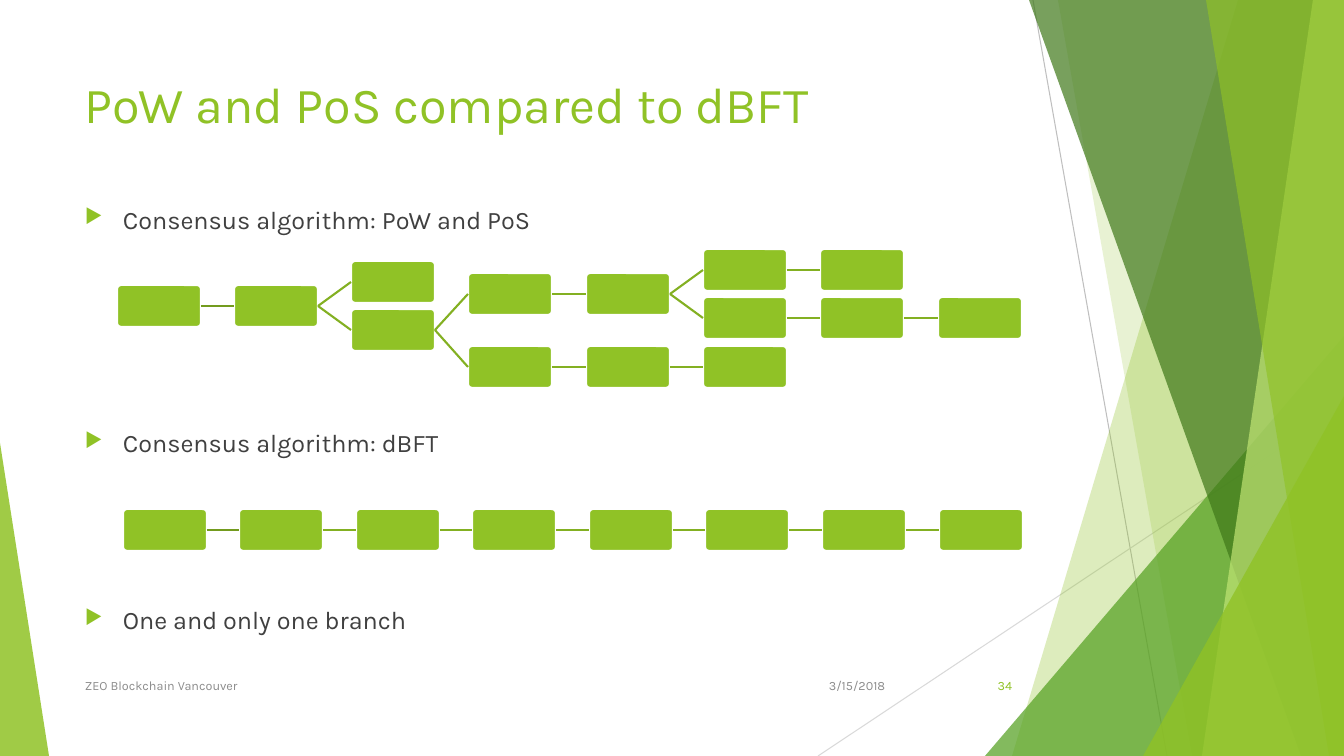
from lxml import etree
from pptx import Presentation
from pptx.dml.color import RGBColor
from pptx.enum.shapes import MSO_CONNECTOR, MSO_SHAPE
from pptx.enum.text import MSO_ANCHOR, PP_ALIGN
from pptx.oxml.ns import qn
from pptx.util import Pt

STRAIGHT = MSO_CONNECTOR.STRAIGHT
TRIANGLE, ROUNDED = MSO_SHAPE.ISOSCELES_TRIANGLE, MSO_SHAPE.ROUNDED_RECTANGLE
TOP, MIDDLE = MSO_ANCHOR.TOP, MSO_ANCHOR.MIDDLE
LEFT, RIGHT = PP_ALIGN.LEFT, PP_ALIGN.RIGHT

PX = 9071  # EMU per px at 100.8 px to the inch
WIDTH, HEIGHT = 1344, 756
THEME = {
    "font": "Karla", "title": 36, "body": 18, "footer": 9,
    "green": "90C226", "leaf": "54A021", "forest": "3F7819", "lime": "C0E474",
    "first_link": "739B1E", "link": "83B022", "text": "404040", "muted": "8C8C8C",
    "rule": "BFBFBF", "pale_rule": "D9D9D9", "white": "FFFFFF",
}

deck = Presentation()
deck.slide_width, deck.slide_height = WIDTH * PX, HEIGHT * PX
slide = deck.slides.add_slide(deck.slide_layouts[6])
shapes = slide.shapes


def add_text(text, box, size, color, align=LEFT, anchor=TOP, gaps=None):
    """Write one paragraph per line; gaps (points before each) makes it a bullet list."""
    frame = shapes.add_textbox(*(n * PX for n in box)).text_frame
    frame.word_wrap = True
    frame.vertical_anchor = anchor
    for index, line in enumerate(text.split("\n")):
        paragraph = frame.add_paragraph() if index else frame.paragraphs[0]
        paragraph.alignment = align
        if gaps:
            props = paragraph._p.get_or_add_pPr()
            props.set("marL", str(38 * PX))
            props.set("indent", str(-38 * PX))
            bullet_color = etree.SubElement(props, qn("a:buClr"))
            etree.SubElement(bullet_color, qn("a:srgbClr"), val=THEME["green"])
            etree.SubElement(props, qn("a:buSzPct"), val="80000")
            etree.SubElement(props, qn("a:buChar"), char="▶")
            paragraph.space_before = Pt(gaps[index])
        run = paragraph.add_run()
        run.text = line
        run.font.name = THEME["font"]
        run.font.size = Pt(THEME[size])
        run.font.color.rgb = RGBColor.from_string(THEME[color])


def add_line(start, end, color, width):
    line = shapes.add_connector(STRAIGHT, *(n * PX for n in (*start, *end)))
    line.line.color.rgb = RGBColor.from_string(THEME[color])
    line.line.width = Pt(width)
    etree.SubElement(line._element.spPr, qn("a:effectLst"))
    return line


# Background facets
add_line((1033, 0), (1167, HEIGHT), "rule", 0.75)
add_line((WIDTH, 406), (818, HEIGHT), "pale_rule", 0.75)

# A band is (left at top, left at bottom); a corner is (box, apex).
facets = [
    ("band", (1238, 1012), "green", 30),
    ("band", (1058, 1192), "green", 20),
    ("corner", ((985, 336, 359, 420), 1), "leaf", 72),
    ("band", (1029, 1301), "forest", 70),
    ("band", (1313, 1202), "lime", 70),
    ("band", (1206, 1329), "green", 65),
    ("corner", ((1143, 396, 201, 360), 1), "green", 80),
    ("corner", ((0, 443, 49, 313), 0), "green", 85),
]
for kind, geometry, color, opacity in facets:
    if kind == "band":
        top_x, bottom_x = geometry
        outline = shapes.build_freeform(top_x, 0, scale=PX)
        outline.add_line_segments([(WIDTH, 0), (WIDTH, HEIGHT), (bottom_x, HEIGHT)])
        facet = outline.convert_to_shape()
    else:
        box, apex = geometry
        facet = shapes.add_shape(TRIANGLE, *(n * PX for n in box))
        facet.adjustments[0] = apex
    facet.shadow.inherit = False
    facet.line.fill.background()
    facet.fill.solid()
    facet.fill.fore_color.rgb = RGBColor.from_string(THEME[color])
    fill_color = facet._element.spPr.find(qn("a:solidFill"))[0]
    etree.SubElement(fill_color, qn("a:alpha"), val=str(opacity * 1000))

# Text
add_text("PoW and PoS compared to dBFT", (75, 68, 1136, 113), "title", "green")
add_text("Consensus algorithm: PoW and PoS\nConsensus algorithm: dBFT\nOne and only one branch",
         (75, 199, 1136, 468), "body", "text", gaps=(0, 138, 105))
add_text("3/15/2018", (794, 666, 101, 40), "footer", "muted", align=RIGHT, anchor=MIDDLE)
add_text("ZEO Blockchain Vancouver", (75, 666, 694, 40), "footer", "muted", anchor=MIDDLE)
add_text("34", (947, 666, 75, 40), "footer", "green", align=RIGHT, anchor=MIDDLE)

# Block chains: each block is (column, level, index of its parent)
BLOCK_W, BLOCK_H = 84, 42
forked_chain = [
    (0, 3, None), (1, 3, 0), (2, 1, 1), (2, 5, 1),
    (3, 2, 3), (4, 2, 4), (5, 0, 5), (6, 0, 6),
    (5, 4, 5), (6, 4, 8), (7, 4, 9),
    (3, 8, 3), (4, 8, 11), (5, 8, 12),
]
single_chain = [(n, 0, n - 1 if n else None) for n in range(8)]

for chain, left, span, middle in [(forked_chain, 117, 821, 270), (single_chain, 123, 816, 530)]:
    blocks = []
    for column, level, parent in chain:
        x = left + span * column // 7
        y = middle + 97 * level // 8 - BLOCK_H // 2
        block = shapes.add_shape(ROUNDED, x * PX, y * PX, BLOCK_W * PX, BLOCK_H * PX)
        block.adjustments[0] = 0.1
        block.shadow.inherit = False
        block.fill.solid()
        block.fill.fore_color.rgb = RGBColor.from_string(THEME["green"])
        block.line.color.rgb = RGBColor.from_string(THEME["white"])
        block.line.width = Pt(1.5)
        blocks.append(block)
        if parent is not None:
            link = add_line((0, 0), (x, y), "link" if parent else "first_link", 1.5)
            link.begin_connect(blocks[parent], 3)
            link.end_connect(block, 1)

deck.save("out.pptx")
